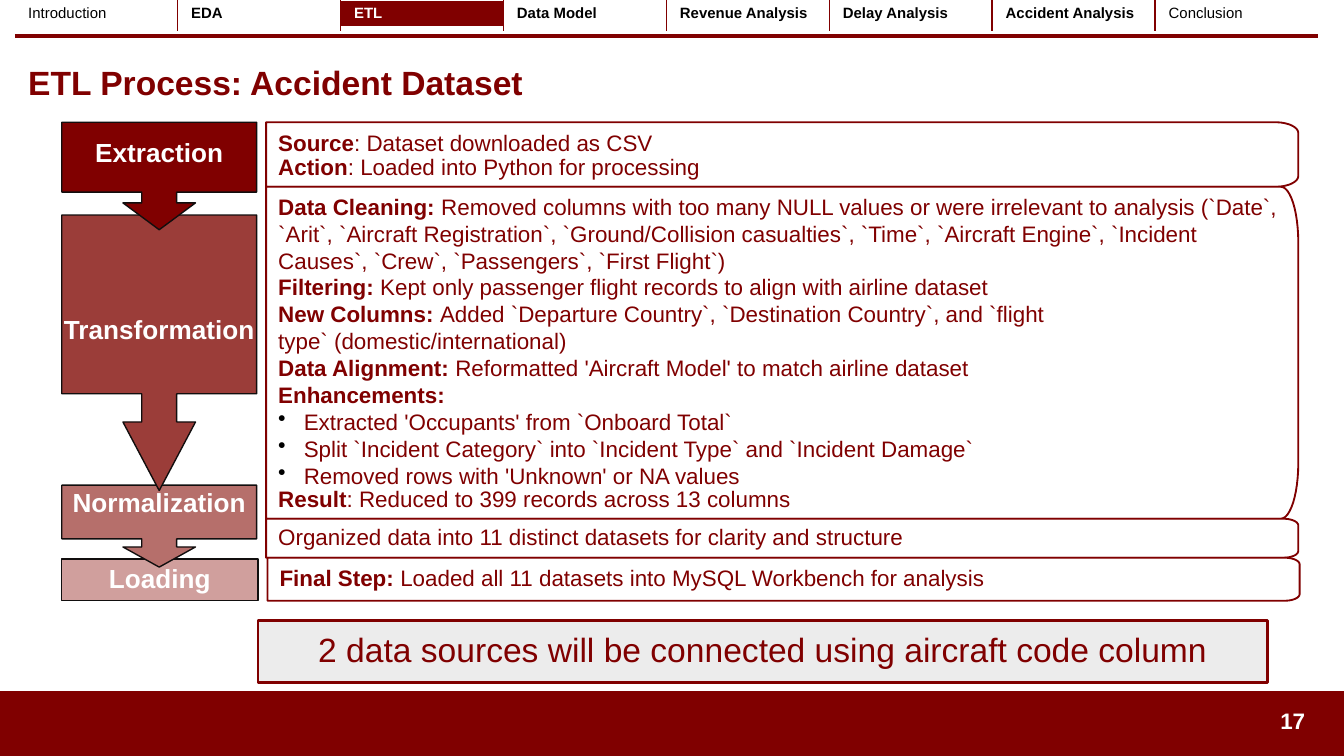
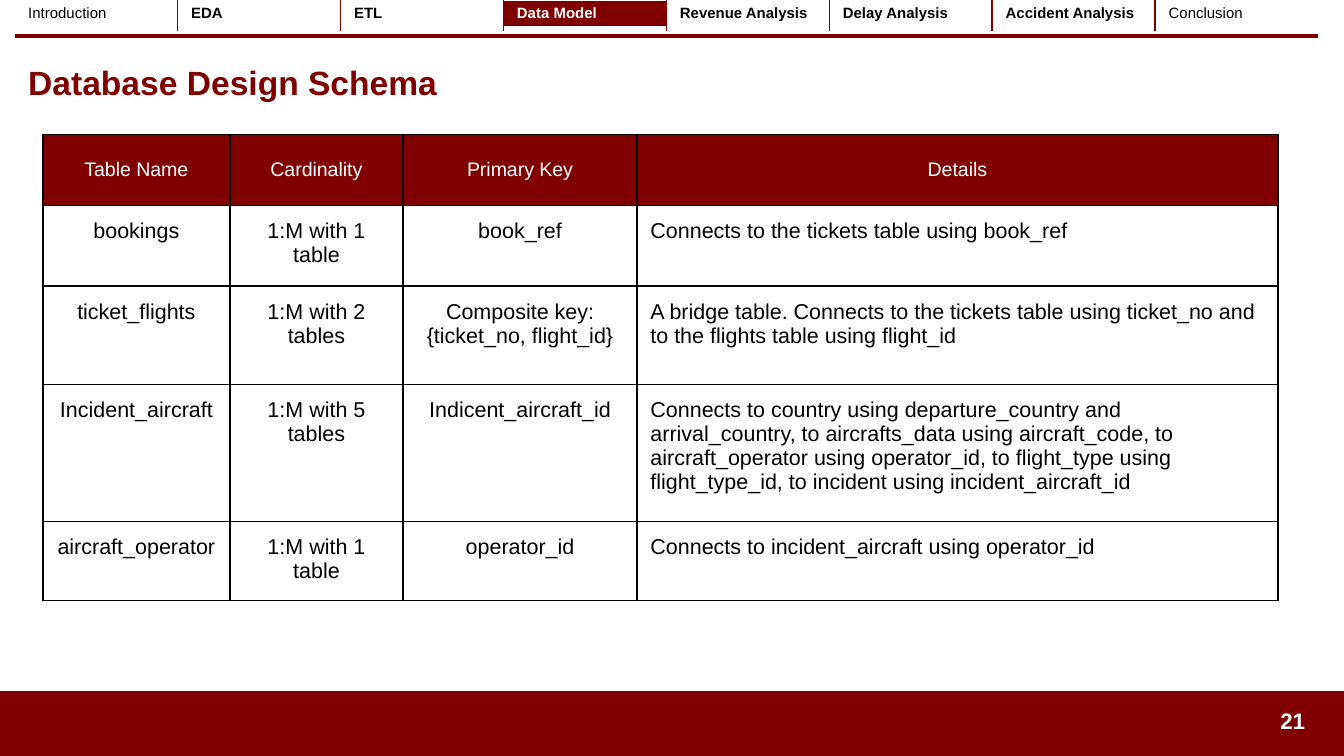
from dataclasses import dataclass
from math import cos, pi, sin
from typing import NamedTuple

from lxml import etree
from pptx import Presentation
from pptx import util as u
from pptx.dml import color
from pptx.enum import shapes, text
from pptx.oxml import ns

MID = text.MSO_ANCHOR.MIDDLE
TOP = text.MSO_ANCHOR.TOP
LEFT = text.PP_ALIGN.LEFT
MIDST = text.PP_ALIGN.CENTER
RIGHT = text.PP_ALIGN.RIGHT
GLUE = chr(160)  # space that does not break


@dataclass(frozen=True)
class Theme:
    font: str = "Arial"
    main: str = "800000"
    steps: tuple = ("800000", "9B3D39", "B66F6B", "D09F9D")
    ink: str = "000000"
    edge: str = "110E0E"
    gray: str = "EAEAEA"
    white: str = "FFFFFF"
    title: float = 18
    step: float = 14
    body: float = 12
    cell: float = 11.5
    head: float = 10.5
    nav: float = 8


LOOK = Theme()


class Para(NamedTuple):
    lead: str = ""
    rest: str = ""
    hang: float = 0
    dot: bool = False
    space: float = 1.0


class Panel(NamedTuple):
    left: float
    top: float
    base: float
    rx: float
    ry: float
    paras: list


class Step(NamedTuple):
    name: str
    top: float
    base: float
    neck: float
    tip: float


class Box(NamedTuple):
    left: float
    top: float
    wide: float
    high: float


class Edge(NamedTuple):
    tint: str
    size: float


NAV = ["Introduction", "EDA", "ETL", "Data Model", "Revenue Analysis",
       "Delay Analysis", "Accident Analysis", "Conclusion"]


def tight(lead: str = "", rest: str = "") -> Para:
    """A paragraph with a hanging indent and close lines."""
    return Para(lead, rest, 0.12, space=0.9)


def item(rest: str) -> Para:
    return Para("", rest, 0.19, dot=True)


PANELS = [
    Panel(1.98, 0.91, 1.39, 0.17, 0.08, [
        Para("Source", ": Dataset downloaded as CSV"),
        tight("Action", ": Loaded into Python for processing")]),
    Panel(1.98, 1.39, 3.86, 0.13, 0.41, [
        Para("Data Cleaning:", " Removed columns with too many NULL values or were "
             "irrelevant to analysis (`Date`, `Arit`, `Aircraft Registration`, "
             "`Ground/Collision casualties`, `Time`, `Aircraft Engine`, `Incident "
             "Causes`, `Crew`, `Passengers`, `First Flight`)"),
        Para("Filtering:", " Kept only passenger flight records to align with "
             "airline dataset"),
        Para("New Columns: ", "Added `Departure Country`, `Destination Country`, "
             f"and `flight type`{GLUE}(domestic/international)"),
        Para("Data Alignment:", " Reformatted 'Aircraft Model' to match airline dataset"),
        Para("Enhancements:"),
        item("Extracted 'Occupants' from `Onboard Total`"),
        item("Split `Incident Category` into `Incident Type` and `Incident Damage`"),
        item("Removed rows with 'Unknown' or NA values"),
        tight("Result", ": Reduced to 399 records across 13 columns")]),
    Panel(1.98, 3.86, 4.15, 0.11, 0.05, [
        tight("", "Organized data into 11 distinct datasets for clarity and structure")]),
    Panel(1.99, 4.15, 4.47, 0.11, 0.05, [
        tight("Final Step:", " Loaded all 11 datasets into MySQL Workbench for analysis")]),
]

STEPS = [
    Step("Extraction", 0.91, 1.43, 1.51, 1.71),
    Step("Transformation", 1.6, 2.93, 3.14, 3.65),
    Step("Normalization", 3.61, 4.01, 4.07, 4.22),
]

SCHEMA = [
    ["Table Name", "Cardinality", "Primary Key", "Details"],
    ["bookings", "1:M with 1 table", "book_ref",
     f"Connects to{GLUE}the tickets table using book_ref"],
    ["ticket_flights", "1:M with 2 tables", "Composite key: {ticket_no, flight_id}",
     "A bridge table. Connects to the tickets table using ticket_no and "
     "to the flights table using flight_id"],
    ["Incident_aircraft", "1:M with 5 tables", "Indicent_aircraft_id",
     "Connects to country using departure_country and arrival_country, to "
     "aircrafts_data using aircraft_code, to aircraft_operator using operator_id, "
     "to flight_type using flight_type_id, to incident using incident_aircraft_id"],
    ["aircraft_operator", "1:M with 1 table", "operator_id",
     "Connects to incident_aircraft using operator_id"],
]


def rgb(tint: str) -> color.RGBColor:
    return color.RGBColor.from_string(tint)


def sub(host, tag: str, **attrs: str):
    return etree.SubElement(host, ns.qn(tag), attrs)


def inches(box: Box) -> list:
    return [u.Inches(n) for n in box]


def write(frame, paras: list, *, size: float, tint: str = LOOK.main,
          align=LEFT, anchor=MID, pad: tuple = (0.1, 0.05, 0.1, 0.05)) -> None:
    frame.word_wrap = True
    frame.vertical_anchor = anchor
    (frame.margin_left, frame.margin_top,
     frame.margin_right, frame.margin_bottom) = [u.Inches(n) for n in pad]
    for i, para in enumerate(paras):
        p = frame.add_paragraph() if i else frame.paragraphs[0]
        props = p._p.get_or_add_pPr()
        if para.hang:
            props.set("marL", str(u.Inches(para.hang)))
            props.set("indent", str(-u.Inches(para.hang)))
        if para.dot:
            sub(sub(props, "a:buClr"), "a:srgbClr", val=LOOK.ink)
            sub(props, "a:buChar", char="•")
        p.alignment = align
        p.line_spacing = para.space
        for words, bold in ((para.lead, True), (para.rest, False)):
            if words:
                run = p.add_run()
                run.text = words
                run.font.name = LOOK.font
                run.font.size = u.Pt(size)
                run.font.bold = bold
                run.font.color.rgb = rgb(tint)


def paint(shape, fill: str, line: str, width: float, alpha: int = 100) -> None:
    shape.shadow.inherit = False
    shape.fill.solid()
    shape.fill.fore_color.rgb = rgb(fill)
    if alpha < 100:
        solid = shape._element.spPr.find(ns.qn("a:solidFill"))
        sub(solid[0], "a:alpha", val=str(alpha * 1000))
    shape.line.color.rgb = rgb(line)
    shape.line.width = u.Pt(width)


def block(slide, box: Box):
    return slide.shapes.add_shape(shapes.MSO_SHAPE.RECTANGLE, *inches(box))


def trace(slide, points: list):
    """Draw a closed outline through points given in inches."""
    spots = [(u.Inches(x), u.Inches(y)) for x, y in points]
    pen = slide.shapes.build_freeform(*spots[0])
    pen.add_line_segments(spots[1:], close=True)
    return pen.convert_to_shape()


def grid(slide, box: Box, cols: list, rows: list):
    table = slide.shapes.add_table(len(rows), len(cols), *inches(box)).table
    table.first_row = table.horz_banding = False
    for col, wide in zip(table.columns, cols):
        col.width = u.Inches(wide)
    for row, high in zip(table.rows, rows):
        row.height = u.Inches(high)
    return table


def fill_cell(cell, fill: str, edges: dict) -> None:
    """Fill a cell and rule its sides; edges maps L, R, T, B in that order."""
    cell.fill.solid()
    cell.fill.fore_color.rgb = rgb(fill)
    props = cell._tc.get_or_add_tcPr()
    for i, (side, edge) in enumerate(edges.items()):
        line = sub(props, f"a:ln{side}", w=str(u.Pt(edge.size)))
        sub(sub(line, "a:solidFill"), "a:srgbClr", val=edge.tint)
        props.insert(i, line)


def set_cell(cell, anchor, side: float, ends: float) -> None:
    cell.vertical_anchor = anchor
    cell.margin_left = cell.margin_right = u.Inches(side)
    cell.margin_top = cell.margin_bottom = u.Inches(ends)


def draw_nav(slide, topic: str) -> None:
    last = len(NAV) - 1
    table = grid(slide, Box(0.11, 0, 9.7, 0.21), [9.7 / len(NAV)] * len(NAV), [0.18])
    blank, rule = Edge(LOOK.white, 1), Edge(LOOK.main, 1)
    for i, name in enumerate(NAV):
        cell, on, end = table.cell(0, i), name == topic, i in (0, last)
        fill_cell(cell, LOOK.main if on else LOOK.white,
                  {"L": rule if i else blank, "R": rule if i < last else blank,
                   "T": blank, "B": Edge(LOOK.white, 3)})
        write(cell.text_frame, [Para("", name) if end else Para(name)], size=LOOK.nav,
              tint=LOOK.white if on else LOOK.ink)
        set_cell(cell, TOP, 0.1, 0.04)


def start(deck, title: str, topic: str, page: int):
    """Add a slide with the title, band, rule, page number and tabs."""
    slide = deck.slides.add_slide(deck.slide_layouts[5])
    paint(block(slide, Box(0, 5.15, 10, 0.49)), LOOK.main, LOOK.main, 1)
    rule = slide.shapes.add_connector(
        shapes.MSO_CONNECTOR.STRAIGHT, *inches(Box(0.11, 0.27, 9.81, 0.27)))
    rule.line.color.rgb = rgb(LOOK.main)
    rule.line.width = u.Pt(2)
    sub(rule._element.spPr, "a:effectLst")
    head = slide.shapes.title
    head.left, head.top, head.width, head.height = inches(Box(0.11, 0.31, 9.7, 0.6))
    write(head.text_frame, [Para(title)], size=LOOK.title)
    note = slide.shapes.add_textbox(*inches(Box(9.25, 5.21, 0.56, 0.3)))
    write(note.text_frame, [Para(str(page))], size=LOOK.body, tint=LOOK.white,
          align=RIGHT)
    draw_nav(slide, topic)
    return slide


def draw_panel(slide, panel: Panel) -> None:
    right = panel.left + 7.68
    turns = [pi / 2 * n / 12 for n in range(13)]
    x, low, high = right - panel.rx, panel.base - panel.ry, panel.top + panel.ry
    points = [(panel.left, panel.base), (panel.left, panel.top)]
    points += [(x + panel.rx * sin(t), high - panel.ry * cos(t)) for t in turns]
    points += [(x + panel.rx * cos(t), low + panel.ry * sin(t)) for t in turns]
    shape = trace(slide, points)
    paint(shape, LOOK.white, LOOK.main, 1, alpha=89)
    write(shape.text_frame, panel.paras, size=LOOK.body, pad=(0.09, 0.04, 0.1, 0.04))


def label(shape, name: str, foot: float) -> None:
    write(shape.text_frame, [Para(name, space=0.9)], size=LOOK.step, tint=LOOK.white,
          align=MIDST, pad=(0.01, 0.01, 0.01, foot))


def draw_step(slide, step: Step, fill: str) -> None:
    left, right, stem, wing = 0.46, 1.91, 0.13, 0.27
    mid = (left + right) / 2
    shape = trace(slide, [
        (right, step.top), (right, step.base), (mid + stem, step.base),
        (mid + stem, step.neck), (mid + wing, step.neck), (mid, step.tip),
        (mid - wing, step.neck), (mid - stem, step.neck), (mid - stem, step.base),
        (left, step.base), (left, step.top)])
    paint(shape, fill, LOOK.edge, 0.75)
    label(shape, step.name, 0.34)


def build_process(deck) -> None:
    slide = start(deck, "ETL Process: Accident Dataset", "ETL", 17)
    for panel in PANELS:
        draw_panel(slide, panel)
    load = block(slide, Box(0.46, 4.16, 1.46, 0.31))
    paint(load, LOOK.steps[-1], LOOK.edge, 0.75)
    label(load, "Loading", 0.01)
    for step, fill in reversed(list(zip(STEPS, LOOK.steps))):
        draw_step(slide, step, fill)
    close = block(slide, Box(1.92, 4.62, 7.51, 0.46))
    paint(close, LOOK.gray, LOOK.main, 1.5, alpha=89)
    words = "2 data sources will be connected using aircraft code column"
    write(close.text_frame, [Para("", words, space=0.9)], size=LOOK.title,
          align=MIDST, pad=(0.01,) * 4)


def build_schema(deck) -> None:
    slide = start(deck, "Database Design Schema", "Data Model", 21)
    table = grid(slide, Box(0.32, 1, 9.19, 3.47), [1.39, 1.29, 1.74, 4.77],
                 [0.53, 0.6, 0.73, 1.02, 0.59])
    edges = dict.fromkeys("LRTB", Edge(LOOK.ink, 1))
    for r, row in enumerate(SCHEMA):
        for c, words in enumerate(row):
            cell, head = table.cell(r, c), r == 0
            fill_cell(cell, LOOK.main if head else LOOK.white, edges)
            write(cell.text_frame, [Para("", words)],
                  size=LOOK.head if head else LOOK.cell,
                  tint=LOOK.white if head else LOOK.ink,
                  align=MIDST if head or c < 3 else LEFT)
            set_cell(cell, MID if head else TOP, 0.1, 0.1)


def main() -> None:
    deck = Presentation()
    deck.slide_width = u.Inches(10)
    deck.slide_height = deck.slide_width * 9 // 16
    build_process(deck)
    build_schema(deck)
    deck.save("out.pptx")


if __name__ == "__main__":
    main()
